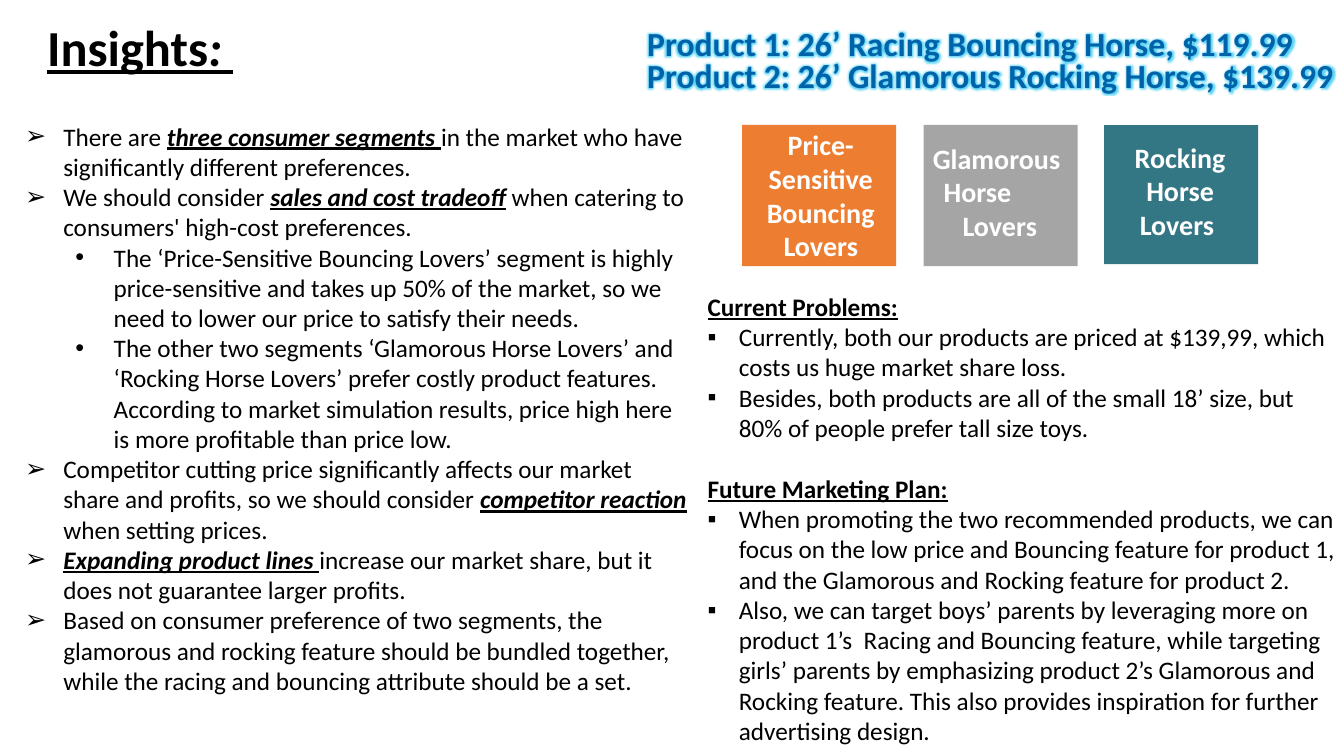
"""Build the consumer insights slide for two toy horse products."""
import lxml.etree
import pptx
import pptx.dml.color
import pptx.enum.shapes
import pptx.enum.text
import pptx.oxml
import pptx.oxml.ns
import pptx.util

Inches, Pt = pptx.util.Inches, pptx.util.Pt
RGBColor = pptx.dml.color.RGBColor
CENTER = pptx.enum.text.PP_ALIGN.CENTER
LEFT = pptx.enum.text.PP_ALIGN.LEFT

BLACK = RGBColor(0x00, 0x00, 0x00)
WHITE = RGBColor(0xFF, 0xFF, 0xFF)
BLUE = RGBColor(0x00, 0x62, 0xA9)
GLOW = RGBColor(0x5B, 0xD4, 0xF5)
ORANGE = RGBColor(0xED, 0x7D, 0x31)
GRAY = RGBColor(0xA5, 0xA5, 0xA5)
TEAL = RGBColor(0x33, 0x77, 0x85)

TITLE = ["Insights", ": "]
PRODUCTS = [
    "Product 1: 26’ Racing Bouncing Horse, $119.99",
    "Product 2: 26’ Glamorous Rocking Horse, $139.99",
]
# Each segment: card left, height, fill, label box, label lines
SEGMENTS = [
    (7.36, 1.4, ORANGE, (7.45, 1.22, 1.38, 1.45), ["Price-Sensitive Bouncing Lovers"]),
    (9.16, 1.4, GRAY, (9.07, 1.35, 1.69, 1.11), ["Glamorous ", "Horse", "Lovers"]),
    (10.95, 1.38, TEAL, (11.04, 1.34, 1.33, 1.11), ["Rocking Horse Lovers "]),
]
# Level and text; asterisks enclose emphasis
INSIGHTS = [
    (0, "There are *three consumer segments *in the market who have significantly different preferences."),
    (0, "We should consider *sales and cost tradeoff* when catering to consumers' high-cost preferences."),
    (1, "The ‘Price-Sensitive Bouncing Lovers’ segment is highly price-sensitive and takes up 50% "
        "of the market, so we need to lower our price to satisfy their needs."),
    (1, "The other two segments ‘Glamorous Horse Lovers’ and ‘Rocking Horse Lovers’ prefer costly "
        "product features. According to market simulation results, price high here is more "
        "profitable than price low."),
    (0, "Competitor cutting price significantly affects our market share and profits, so we should "
        "consider *competitor reaction* when setting prices."),
    (0, "*Expanding product lines *increase our market share, but it does not guarantee larger profits."),
    (0, "Based on consumer preference of two segments, the glamorous and rocking feature should be "
        "bundled together, while the racing and bouncing attribute should be a set."),
]
PLANS = [
    ("Current Problems:", [
        "Currently, both our products are priced at $139,99, which costs us huge market share loss.",
        "Besides, both products are all of the small 18’ size, but 80% of people prefer tall size toys.",
    ]),
    ("Future Marketing Plan:", [
        "When promoting the two recommended products, we can focus on the low price and Bouncing "
        "feature for product 1, and the Glamorous and Rocking feature for product 2.",
        "Also, we can target boys’ parents by leveraging more on product 1’s  Racing and Bouncing "
        "feature, while targeting girls’ parents by emphasizing product 2’s Glamorous and Rocking "
        "feature. This also provides inspiration for further advertising design.",
    ]),
]


def add_box(s, left, top, width, height):
    tf = s.shapes.add_textbox(Inches(left), Inches(top), Inches(width), Inches(height)).text_frame
    tf.word_wrap = True
    return tf


def next_paragraph(tf):
    first = tf.paragraphs[0]
    return tf.add_paragraph() if first.runs else first


def add_run(p, text, size, color=BLACK, bold=False, italic=False, underline=False):
    r = p.add_run()
    r.text = text
    r.font.name, r.font.size = "Calibri", Pt(size)
    r.font.color.rgb = color
    r.font.bold, r.font.italic, r.font.underline = bold, italic, underline
    return r


def set_indent(p, left, hanging=0, bullet=None, font="Arial"):
    pPr = p._p.get_or_add_pPr()
    pPr.set("marL", str(Inches(left)))
    pPr.set("indent", str(-Inches(hanging)))
    if bullet:
        qn = pptx.oxml.ns.qn
        color = lxml.etree.SubElement(pPr, qn("a:buClr"))
        lxml.etree.SubElement(color, qn("a:srgbClr")).set("val", str(BLACK))
        lxml.etree.SubElement(pPr, qn("a:buFont")).set("typeface", font)
        lxml.etree.SubElement(pPr, qn("a:buChar")).set("char", bullet)


def add_glow(r):
    ns = pptx.oxml.ns.nsdecls("a")
    rPr = r._r.get_or_add_rPr()
    rPr.insert(0, pptx.oxml.parse_xml(
        f'<a:ln {ns} w="{Pt(0.75)}"><a:solidFill><a:srgbClr val="{BLUE}"/></a:solidFill></a:ln>'))
    rPr.insert(2, pptx.oxml.parse_xml(
        f'<a:effectLst {ns}><a:glow rad="{Pt(5)}"><a:srgbClr val="{GLOW}"/></a:glow></a:effectLst>'))


def add_segments(s):
    for left, height, fill, label_box, lines in SEGMENTS:
        sp = s.shapes.add_shape(pptx.enum.shapes.MSO_SHAPE.RECTANGLE, Inches(left), Inches(1.24),
                                Inches(1.53), Inches(height))
        sp.shadow.inherit = False
        sp.fill.solid()
        sp.fill.fore_color.rgb = fill
        sp.line.fill.background()
        tf = add_box(s, *label_box)
        for line in lines:
            p = next_paragraph(tf)
            p.alignment = CENTER
            if line == "Horse":
                p.alignment = LEFT
                set_indent(p, 0.19)
            add_run(p, line, 20, WHITE, bold=True)


def add_insights(s):
    tf = add_box(s, 0.15, 1.15, 6.77, 5.86)
    for level, text in INSIGHTS:
        p = next_paragraph(tf)
        p.level = level
        bullet, font = [("➢", "Wingdings"), ("•", "Arial")][level]
        set_indent(p, 0.38 + 0.5 * level, 0.38, bullet, "Arial" if level else "Calibri")
        for i, part in enumerate(text.split("*")):
            if part:
                strong = i % 2 == 1
                add_run(p, part, 18, bold=strong, italic=strong, underline=strong)


def add_plans(s):
    tf = add_box(s, 6.92, 2.84, 6.46, 4.64)
    for i, (heading, points) in enumerate(PLANS):
        p = next_paragraph(tf)
        p.space_before = Pt(22 * i)
        add_run(p, heading, 18, bold=True, underline=True)
        for point in points:
            p = next_paragraph(tf)
            set_indent(p, 0.31, 0.31, "▪")
            add_run(p, point, 18)


def add_headings(s):
    p = add_box(s, 0.37, 0.4, 2.69, 0.48).paragraphs[0]
    p.line_spacing = Pt(22.7)
    for i, part in enumerate(TITLE):
        add_run(p, part, 36, bold=True, italic=i == 1, underline=True)
    tf = add_box(s, 6.32, 0.26, 7.19, 0.75)
    for product in PRODUCTS:
        p = next_paragraph(tf)
        p.line_spacing = Pt(22.7)
        add_glow(add_run(p, product, 24, BLUE, bold=True))


def main():
    prs = pptx.Presentation()
    prs.slide_width, prs.slide_height = Inches(13.33), Inches(7.5)
    s = prs.slides.add_slide(prs.slide_layouts[6])
    add_segments(s)
    add_insights(s)
    add_plans(s)
    add_headings(s)
    prs.save("out.pptx")


if __name__ == "__main__":
    main()
